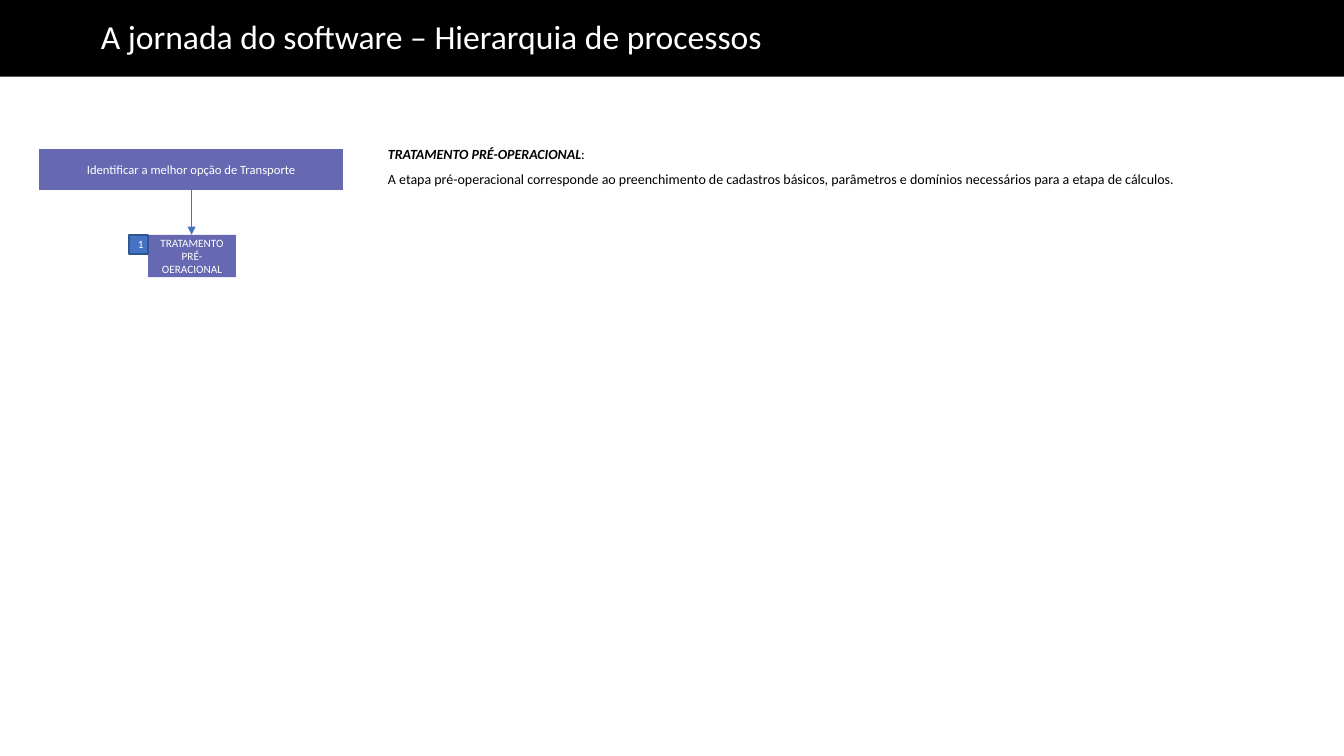
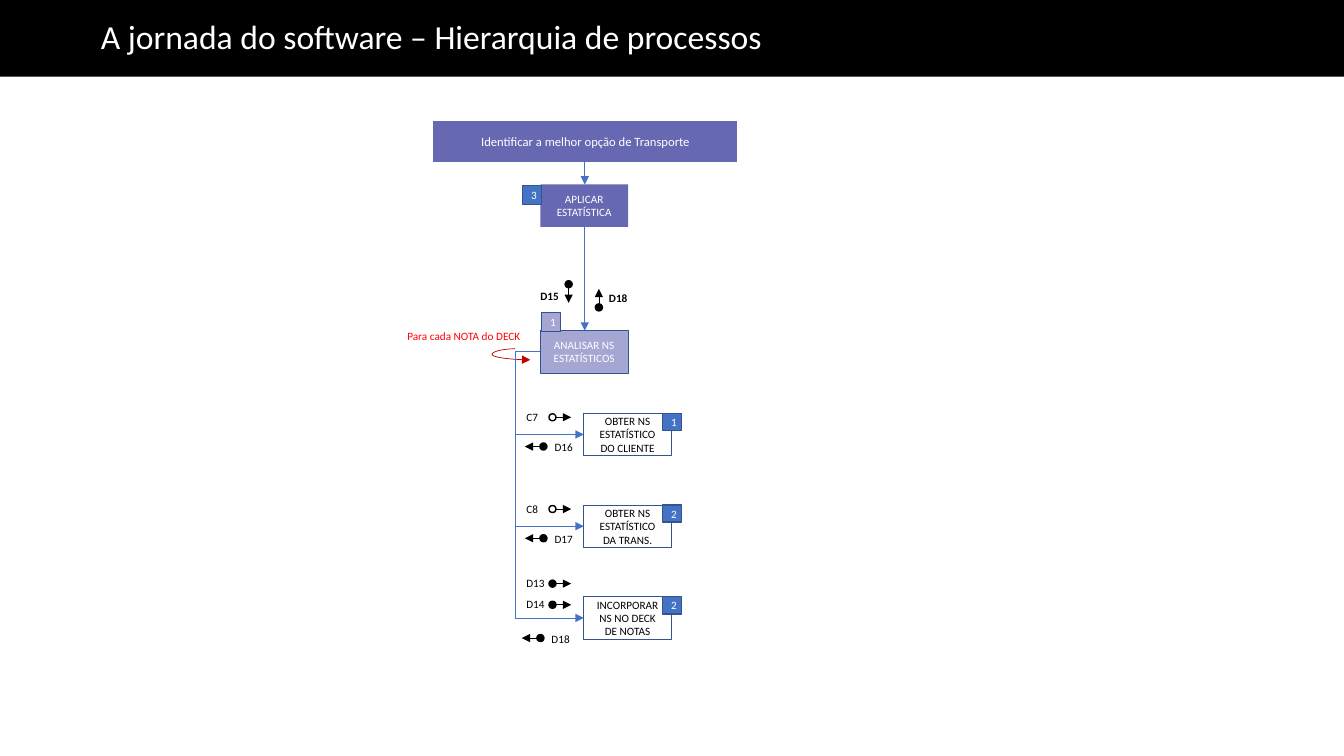
from lxml.etree import SubElement
from pptx import Presentation
from pptx.dml.color import RGBColor
from pptx.enum.shapes import MSO_CONNECTOR, MSO_SHAPE
from pptx.enum.text import MSO_ANCHOR, MSO_AUTO_SIZE, PP_ALIGN
from pptx.oxml.ns import qn
from pptx.util import Inches, Pt

FONT = "Calibri"
BLACK, WHITE = "000000", "FFFFFF"
PURPLE, LILAC = "6668B2", "A5A6D2"
BLUE, NAVY = "4472C4", "325491"
RED, DARK_RED = "FF0000", "C00000"

SLIDE_W, SLIDE_H = 13.33, 7.5
TITLE = "A jornada do software – Hierarquia de processos"
GOAL = "Identificar a melhor opção de Transporte"
GOAL_W, STEP_W, STEP_H, BADGE = 3.03, 0.87, 0.42, 0.19
DOT, ARROW = 0.07, 0.15

# Arrow direction and offset of the label from the dot centre
FLOWS = {
    "right": (1, 0, -0.26, -0.07),
    "left": (-1, 0, 0.11, -0.06),
    "down": (0, 1, -0.28, 0.05),
    "up": (0, -1, 0.10, -0.16),
}


def rgb(hex_colour):
    return RGBColor.from_string(hex_colour)


def write(frame, text, size=8, color=BLACK, bold=False, italic=False,
          align=PP_ALIGN.LEFT, anchor=MSO_ANCHOR.TOP, insets=None):
    """Replace the frame's text and return its paragraphs; \\n parts them."""
    frame.word_wrap = True
    frame.auto_size = MSO_AUTO_SIZE.NONE
    frame.vertical_anchor = anchor
    if insets is not None:
        (frame.margin_left, frame.margin_top,
         frame.margin_right, frame.margin_bottom) = map(Inches, insets)
    frame.text = text
    for paragraph in frame.paragraphs:
        paragraph.alignment = align
        for run in paragraph.runs:
            style_run(run, size, color, bold, italic)
    return frame.paragraphs


def style_run(run, size, color=BLACK, bold=False, italic=False):
    font = run.font
    font.name, font.size = FONT, Pt(size)
    font.bold, font.italic = bold, italic
    font.color.rgb = rgb(color)


def add_titled_slide(prs):
    slide = prs.slides.add_slide(prs.slide_layouts.get_by_name("Title Only"))
    title = slide.shapes.title
    title.left, title.top = 0, 0
    title.width, title.height = Inches(SLIDE_W), Inches(0.76)
    title.fill.solid()
    title.fill.fore_color.rgb = rgb(BLACK)
    heading, = write(title.text_frame, TITLE, size=24, color=WHITE,
                     anchor=MSO_ANCHOR.MIDDLE, insets=(1, 0.05, 0.1, 0.05))
    heading.line_spacing = 0.9
    return slide


def add_label(slide, text, left, top, width, height=0.13, insets=(0, 0, 0, 0), **style):
    label = slide.shapes.add_textbox(*map(Inches, (left, top, width, height)))
    return write(label.text_frame, text, insets=insets, **style)


def add_figure(slide, preset, left, top, width, height, fill, line=None, weight=1):
    figure = slide.shapes.add_shape(preset, *map(Inches, (left, top, width, height)))
    figure.shadow.inherit = False
    figure.fill.solid()
    figure.fill.fore_color.rgb = rgb(fill)
    if line:
        figure.line.color.rgb = rgb(line)
        figure.line.width = Pt(weight)
    else:
        figure.line.fill.background()
    return figure


def add_box(slide, text, left, top, width=STEP_W, height=STEP_H, fill=PURPLE,
            line=None, weight=0.5, size=8, color=WHITE, insets=None):
    box = add_figure(slide, MSO_SHAPE.RECTANGLE, left, top, width, height,
                     fill, line, weight)
    write(box.text_frame, text, size=size, color=color, insets=insets,
          align=PP_ALIGN.CENTER, anchor=MSO_ANCHOR.MIDDLE)


def add_goal(slide, left, top):
    add_box(slide, GOAL, left, top, width=GOAL_W, line=WHITE, weight=1, size=9)


def add_badge(slide, number, left, top, height=BADGE, fill=BLUE, weight=1):
    add_box(slide, number, left, top, width=BADGE, height=height, fill=fill,
            line=NAVY, weight=weight, insets=(0.04, 0, 0, 0))


def add_arrow(slide, start, end, color=BLUE, kind=MSO_CONNECTOR.STRAIGHT, via_x=None):
    """Draw an arrow; a bent or curved one turns at via_x."""
    arrow = slide.shapes.add_connector(kind, *map(Inches, (*start, *end)))
    arrow.line.color.rgb = rgb(color)
    arrow.line.width = Pt(0.5)
    properties = arrow.line._get_or_add_ln()
    SubElement(properties, qn("a:tailEnd"), type="triangle")
    shape_properties = properties.getparent()
    SubElement(shape_properties, qn("a:effectLst"))
    if via_x is not None:
        turn = round((via_x - start[0]) / (end[0] - start[0]) * 100000)
        geometry = shape_properties.find(qn("a:prstGeom"))
        adjustments = geometry.find(qn("a:avLst"))
        if adjustments is None:
            adjustments = SubElement(geometry, qn("a:avLst"))
        SubElement(adjustments, qn("a:gd"), name="adj1", fmla=f"val {turn}")


def add_flow(slide, name, x, y, direction, hollow=False, bold=False):
    """Draw a data flow: a dot centred on x, y, its arrow and its name."""
    dx, dy, label_dx, label_dy = FLOWS[direction]
    radius = DOT / 2
    add_figure(slide, MSO_SHAPE.OVAL, x - radius, y - radius, DOT, DOT,
               WHITE if hollow else BLACK, BLACK)
    reach = radius + ARROW
    add_arrow(slide, (x + dx * radius, y + dy * radius),
              (x + dx * reach, y + dy * reach), BLACK)
    add_label(slide, name, x + label_dx, y + label_dy, 0.3, bold=bold)


def build_preparation(prs):
    slide = add_titled_slide(prs)
    center = 1.9
    add_goal(slide, 0.38, 1.47)
    add_arrow(slide, (center, 1.88), (center, 2.33))
    add_box(slide, "TRATAMENTO PRÉ-OERACIONAL", 1.47, 2.33)
    add_badge(slide, "1", 1.28, 2.33)
    heading, _ = add_label(
        slide,
        "TRATAMENTO PRÉ-OPERACIONAL\n"
        "A etapa pré-operacional corresponde ao preenchimento de cadastros básicos, "
        "parâmetros e domínios necessários para a etapa de cálculos.",
        3.75, 1.39, 9.07, 3.25, insets=(0.1, 0.05, 0.1, 0.05), size=10)
    heading.space_after = Pt(6)
    style_run(heading.runs[0], 10, bold=True, italic=True)
    colon = heading.add_run()
    colon.text = ":"
    style_run(colon, 10)


def build_statistics(prs):
    slide = add_titled_slide(prs)
    center, step_left = 5.8, 5.36
    add_goal(slide, 4.29, 1.19)
    add_arrow(slide, (center, 1.61), (center, 1.83))
    add_box(slide, "APLICAR\nESTATÍSTICA", step_left, 1.83)
    add_badge(slide, "3", 5.18, 1.84)
    add_arrow(slide, (center, 2.25), (center, 3.28))
    add_flow(slide, "D15", 5.64, 2.82, "down", bold=True)
    add_flow(slide, "D18", 5.94, 3.05, "up", bold=True)
    add_box(slide, "ANALISAR NS ESTATÍSTICOS", step_left, 3.28, fill=LILAC, line=NAVY)
    add_badge(slide, "1", 5.37, 3.1, fill=LILAC, weight=0.5)

    add_label(slide, "Para cada NOTA do DECK", 4.04, 3.27, 1.23, color=RED)
    add_arrow(slide, (5.11, 3.46), (5.26, 3.57), DARK_RED, MSO_CONNECTOR.CURVE, 4.88)

    substeps = [
        ("OBTER NS ESTATÍSTICO DO CLIENTE", "1"),
        ("OBTER NS ESTATÍSTICO DA TRANS.", "2"),
        ("INCORPORAR NS NO DECK DE NOTAS", "2"),
    ]
    substep_left, first_top, pitch = 5.79, 4.1, 0.91
    for row, (name, number) in enumerate(substeps):
        top = first_top + row * pitch
        add_arrow(slide, (step_left, 3.49), (substep_left, top + STEP_H / 2),
                  kind=MSO_CONNECTOR.ELBOW, via_x=5.11)
        add_box(slide, name, substep_left, top, fill=WHITE, line=NAVY, color=BLACK)
        add_badge(slide, number, 6.57, top, height=0.17)

    for row, (control, data) in enumerate([("C7", "D16"), ("C8", "D17")]):
        top = first_top + row * pitch
        add_flow(slide, control, 5.48, top + 0.04, "right", hollow=True)
        add_flow(slide, data, 5.39, top + 0.33, "left")
    add_flow(slide, "D13", 5.48, 5.79, "right")
    add_flow(slide, "D14", 5.48, 6, "right")
    add_flow(slide, "D18", 5.36, 6.33, "left")


def main():
    prs = Presentation()
    prs.slide_width, prs.slide_height = Inches(SLIDE_W), Inches(SLIDE_H)
    build_preparation(prs)
    build_statistics(prs)
    prs.save("out.pptx")


if __name__ == "__main__":
    main()
